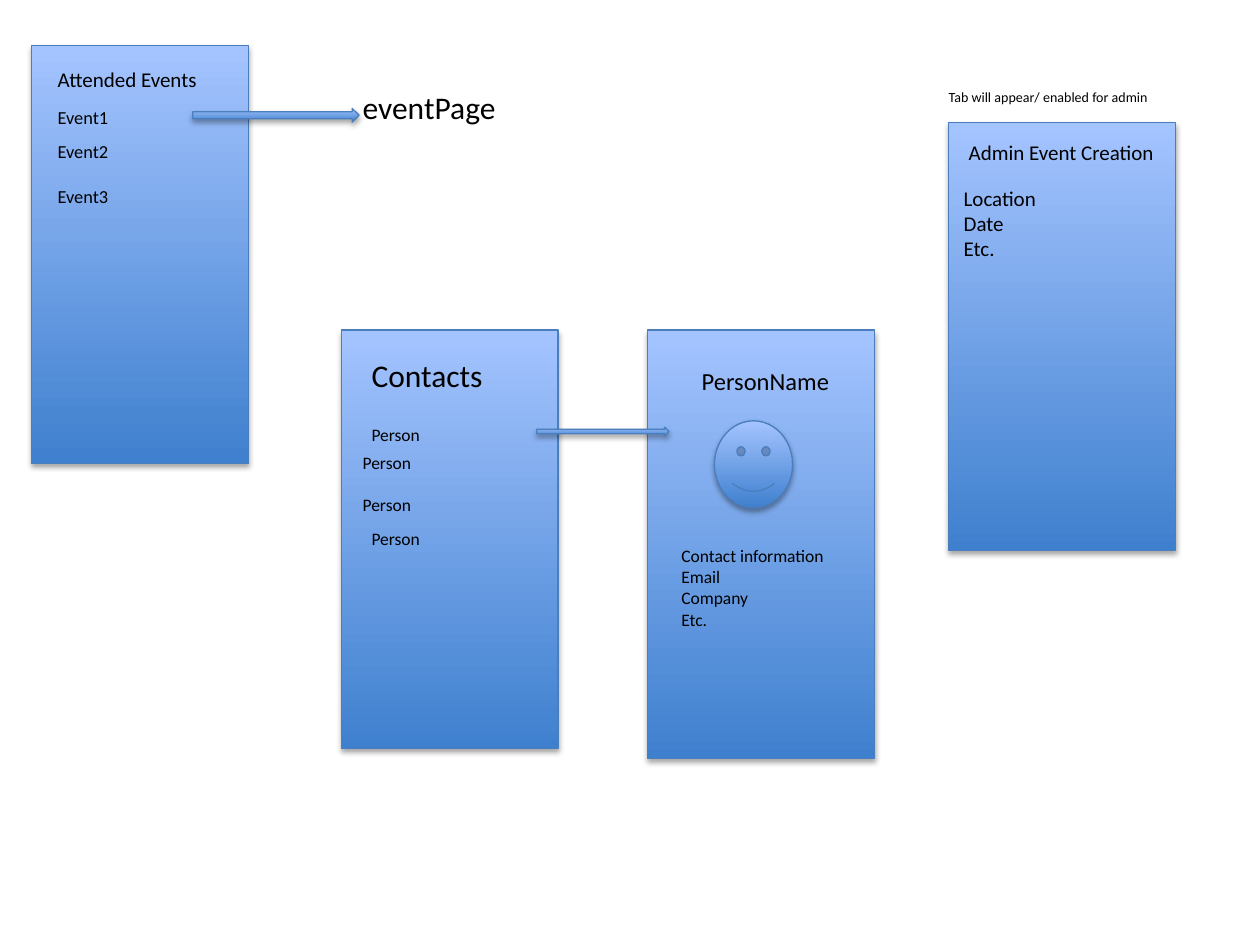
from pptx import Presentation
from pptx import util as u
from pptx.dml import color
from pptx.enum import shapes, text
from pptx.oxml import parse_xml
from pptx.oxml.ns import nsdecls

BLACK = color.RGBColor(0x00, 0x00, 0x00)
DEEP = color.RGBColor(0x3F, 0x80, 0xCE)
PALE = color.RGBColor(0xA4, 0xC4, 0xFF)
EDGE = color.RGBColor(0x4B, 0x7E, 0xBC)

COLS, ROWS = 100, 75
SHADOW = (
    f'<a:effectLst {nsdecls("a")}>'
    '<a:outerShdw blurRad="40000" dist="23000" dir="5400000" rotWithShape="0">'
    f'<a:srgbClr val="{BLACK}"><a:alpha val="35000"/></a:srgbClr>'
    '</a:outerShdw></a:effectLst>'
)


class Wireframe:
    font = "Calibri"

    def __init__(self, prs):
        self.s = prs.slides.add_slide(prs.slide_layouts[6])
        self.col = prs.slide_width / COLS
        self.row = prs.slide_height / ROWS

    def box(self, x, y, w, h):
        return (u.Emu(round(x * self.col)), u.Emu(round(y * self.row)),
                u.Emu(round(w * self.col)), u.Emu(round(h * self.row)))

    def shape(self, kind, x, y, w, h):
        sp = self.s.shapes.add_shape(kind, *self.box(x, y, w, h))
        sp.fill.gradient()
        sp.fill.gradient_angle = 90
        for stop, position, rgb in zip(sp.fill.gradient_stops, (0, 1), (DEEP, PALE)):
            stop.position = position
            stop.color.rgb = rgb
        sp.line.color.rgb = EDGE
        sp.line.width = u.Pt(0.75)
        sp._element.spPr.append(parse_xml(SHADOW))

    def panel(self, x, y, w, h):
        self.shape(shapes.MSO_SHAPE.RECTANGLE, x, y, w, h)

    def arrow(self, x, y, w, h):
        self.shape(shapes.MSO_SHAPE.RIGHT_ARROW, x, y, w, h)

    def face(self, x, y, w, h):
        self.shape(shapes.MSO_SHAPE.SMILEY_FACE, x, y, w, h)

    def label(self, x, y, w, h, size, *lines):
        tf = self.s.shapes.add_textbox(*self.box(x, y, w, h)).text_frame
        tf.word_wrap = True
        tf.auto_size = text.MSO_AUTO_SIZE.SHAPE_TO_FIT_TEXT
        for i, line in enumerate(lines):
            p = tf.add_paragraph() if i else tf.paragraphs[0]
            r = p.add_run()
            r.text = line
            r.font.name = self.font
            r.font.size = u.Pt(size)
            r.font.color.rgb = BLACK


prs = Presentation()
prs.slide_width, prs.slide_height = u.Inches(10), u.Inches(7.5)
page = Wireframe(prs)

page.panel(2.5, 3.6, 17.2, 33.2)
page.label(3.6, 4.8, 14.2, 3, 12, "Attended Events")
for number, y in enumerate((7.9, 10.6, 14.2), 1):
    page.label(3.6, y, 14.2, 2.8, 10.5, f"Event{number}")
page.arrow(15.3, 8.6, 13.2, 1.1)
page.label(27.8, 6.5, 13.9, 4, 18, "eventPage")

page.panel(27.1, 26.2, 17.2, 33.2)
page.label(28.5, 27.8, 14.1, 4.1, 18, "Contacts")
for x, y in ((28.5, 33.2), (27.8, 35.4), (27.8, 38.7), (28.5, 41.4)):
    page.label(x, y, 8.5, 2.7, 10, "Person")

page.panel(51.4, 26.2, 18, 34)
page.arrow(42.6, 33.9, 10.5, 0.7)
page.label(54.7, 28.6, 13.5, 3.4, 14, "PersonName")
page.face(56.7, 33.4, 6.2, 6.9)
page.label(53.1, 42.8, 15.1, 7.7, 10, "Contact information", "Email", "Company", "Etc.")

page.panel(75.3, 9.7, 18, 34)
page.label(75.9, 10.6, 17.4, 3, 12, "Admin Event Creation")
page.label(75.5, 14.2, 17.4, 7.1, 12, "Location", "Date", "Etc.")
page.label(74.3, 6.5, 19.8, 2.4, 8, "Tab will appear/ enabled for admin")

prs.save("out.pptx")
